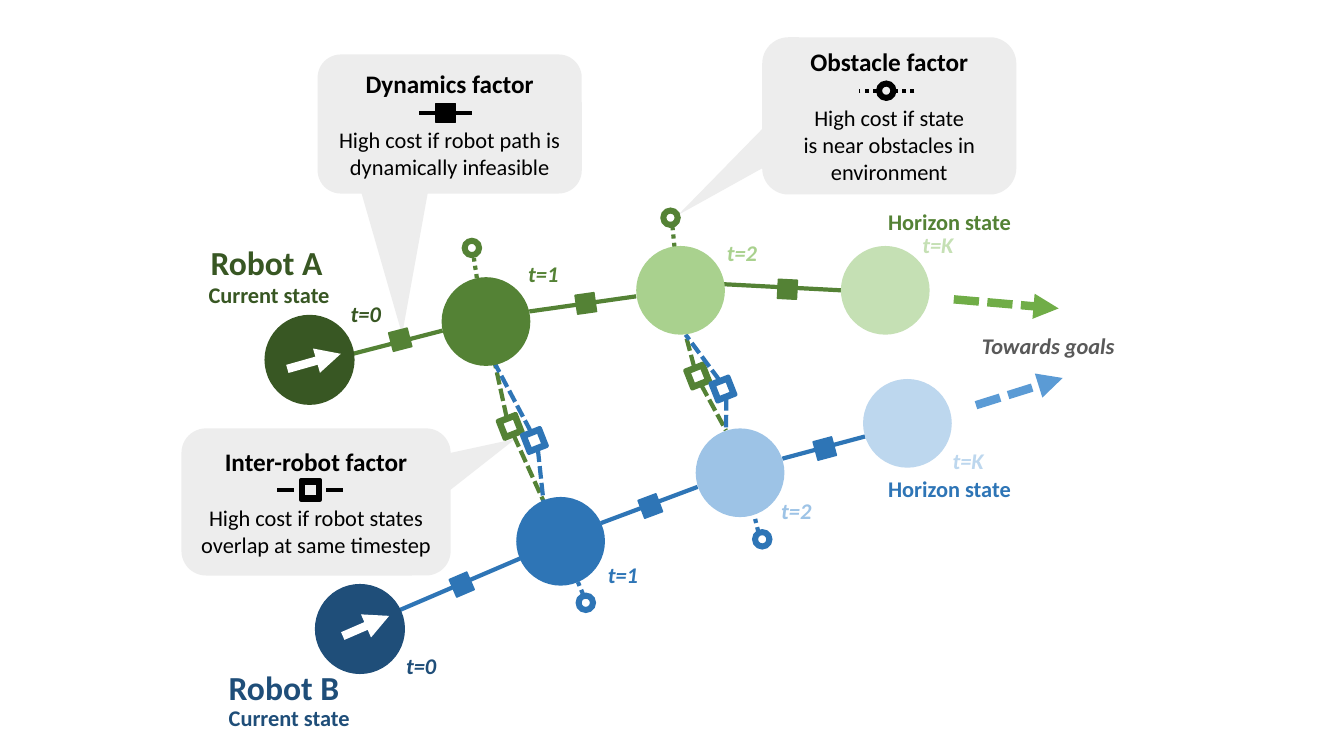
import math
from dataclasses import dataclass

import pptx
import pptx.dml.color
import pptx.enum.dml
import pptx.enum.shapes
import pptx.enum.text
import pptx.oxml.ns
import pptx.util
from lxml import etree

RGBColor = pptx.dml.color.RGBColor
Preset = pptx.enum.shapes.MSO_SHAPE
Dash = pptx.enum.dml.MSO_LINE
qn = pptx.oxml.ns.qn
Point = tuple[float, float]

BLACK = RGBColor(0x00, 0x00, 0x00)
WHITE = RGBColor(0xFF, 0xFF, 0xFF)
PALE_GREY = RGBColor(0xED, 0xED, 0xED)
DARK_GREY = RGBColor(0x59, 0x59, 0x59)
GREENS = [RGBColor.from_string(c) for c in ("385723", "548235", "A9D18E", "C5E0B4")]
BLUES = [RGBColor.from_string(c) for c in ("1F4E79", "2E75B6", "9DC3E6", "BDD7EE")]
GOAL_GREEN = RGBColor(0x70, 0xAD, 0x47)
GOAL_BLUE = RGBColor(0x5B, 0x9B, 0xD5)

FONT = "Calibri"
MARK = 0.19  # side of every factor symbol, in grid units
STATE = 0.88  # diameter of every robot state
TILT = -21.4  # rotation of the inter-robot symbols


def grid(units: float) -> pptx.util.Length:
    """Length of a number of grid units; one unit is 2.54 cm."""
    return pptx.util.Cm(units * 2.54)


@dataclass
class Callout:
    title: str
    cost: str
    box: tuple[float, float, float, float]
    tail: Point
    symbol: int
    center: Point
    arms: list[Point]  # start and end x of the left and right arm
    dash: int
    outline: float


@dataclass
class Robot:
    name: str
    colors: list[RGBColor]
    name_at: Point
    current_at: Point
    horizon_at: Point
    states: list[Point]
    times: list[Point]
    heading: tuple[Point, Point]
    goal: tuple[Point, Point]
    goal_color: RGBColor
    dynamics: list[tuple[Point, Point, Point]]  # from, to, symbol center
    obstacles: list[tuple[Point, Point, Point]]


CALLOUTS = [
    Callout("Dynamics factor", "High cost if robot path is dynamically infeasible",
            (3.15, 0.54, 2.62, 1.38), (-0.18, 1.513), Preset.RECTANGLE, (4.42, 1.12),
            [(4.16, 4.33), (4.68, 4.51)], Dash.SOLID, 1),
    Callout("Inter-robot factor", "High cost if robot states overlap at same timestep",
            (1.8, 4.25, 2.67, 1.46), (0.74, -0.428), Preset.FRAME, (3.08, 4.86),
            [(2.75, 2.98), (3.4, 3.17)], Dash.DASH, 3),
    Callout("Obstacle factor", "High cost if state\nis near obstacles in environment",
            (7.56, 0.37, 2.52, 1.56), (-0.831, 0.63), Preset.DONUT, (8.79, 0.9),
            [(8.7, 8.52), (9.07, 8.89)], Dash.ROUND_DOT, 1),
]
ROBOTS = [
    Robot("Robot A", GREENS, (1.99, 2.35), (1.97, 2.74), (8.71, 2.02),
          [(2.63, 3.13), (4.38, 2.75), (6.31, 2.44), (8.34, 2.44)],
          [(3.38, 2.93), (5.14, 2.53), (7.11, 2.32), (9.05, 2.24)],
          ((2.85, 3.66), (3.38, 3.51)), ((9.46, 2.97), (10.5, 3.06)), GOAL_GREEN,
          [((3.5, 3.51), (4.39, 3.28), (3.97, 3.37)),
           ((5.25, 3.09), (6.31, 2.94), (5.81, 3.01)),
           ((7.18, 2.82), (8.34, 2.88), (7.81, 2.87))],
          [((4.73, 2.76), (4.7, 2.56), (4.68, 2.46)),
           ((6.69, 2.45), (6.67, 2.25), (6.65, 2.16))]),
    Robot("Robot B", BLUES, (2.17, 6.57), (2.17, 6.94), (8.71, 4.66),
          [(3.13, 5.8), (5.12, 4.93), (6.9, 4.25), (8.56, 3.76)],
          [(3.93, 6.42), (5.93, 5.52), (7.65, 4.88), (9.35, 4.39)],
          ((3.4, 6.31), (3.86, 6.11)), ((9.68, 4.02), (10.54, 3.75)), GOAL_BLUE,
          [((3.97, 6.05), (5.16, 5.54), (4.58, 5.8)),
           ((5.96, 5.19), (6.92, 4.83), (6.45, 5.02)),
           ((7.76, 4.55), (8.58, 4.33), (8.18, 4.45))],
          [((5.78, 5.89), (5.73, 5.77), (5.81, 5.98)),
           ((7.52, 5.27), (7.48, 5.11), (7.56, 5.35))]),
]
# Upper end, lower end, and the centers of the green and the blue symbol
INTER_ROBOT = [
    ((4.91, 3.61), (5.39, 4.97), (5.06, 4.23), (5.3, 4.37)),
    ((6.8, 3.32), (7.2, 4.27), (6.92, 3.73), (7.17, 3.86)),
]


def add_line(shapes, start: Point, end: Point, color: RGBColor, width: float = 3,
             dash: int = Dash.SOLID, arrow: bool = False):
    line = shapes.add_connector(pptx.enum.shapes.MSO_CONNECTOR.STRAIGHT,
                                *map(grid, (*start, *end)))
    line.line.color.rgb = color
    line.line.width = pptx.util.Pt(width)
    line.line.dash_style = dash
    if arrow:
        etree.SubElement(line.line._get_or_add_ln(), qn("a:tailEnd"), type="triangle")
    etree.SubElement(line._element.spPr, qn("a:effectLst"))
    return line


def add_solid(shapes, preset: int, box: tuple, color: RGBColor, outline: float = 0):
    solid = shapes.add_shape(preset, *map(grid, box))
    solid.shadow.inherit = False
    solid.fill.solid()
    solid.fill.fore_color.rgb = color
    if outline:
        solid.line.color.rgb = color
        solid.line.width = pptx.util.Pt(outline)
    else:
        solid.line.fill.background()
    return solid


def add_symbol(shapes, preset: int, center: Point, color: RGBColor,
               outline: float = 1, rotation: float = 0):
    x, y = center
    symbol = add_solid(shapes, preset, (x - MARK / 2, y - MARK / 2, MARK, MARK), color, outline)
    symbol.rotation = rotation
    return symbol


def style(paragraph, size: float, color: RGBColor, bold: bool = True, italic: bool = False) -> None:
    for run in paragraph.runs:
        run.font.name = FONT
        run.font.size = pptx.util.Pt(size)
        run.font.bold = bold
        run.font.italic = italic
        run.font.color.rgb = color
    for line_break in paragraph._p.findall(qn("a:br")):
        etree.SubElement(line_break, qn("a:rPr"), sz=str(size * 100))


def add_label(shapes, text: str, at: Point, color: RGBColor, width: float,
              height: float = 0.37, size: float = 16, italic: bool = False) -> None:
    frame = shapes.add_textbox(*map(grid, (*at, width, height))).text_frame
    frame.text = text
    frame.word_wrap = False
    frame.auto_size = pptx.enum.text.MSO_AUTO_SIZE.SHAPE_TO_FIT_TEXT
    style(frame.paragraphs[0], size, color, italic=italic)


def add_callout(shapes, callout: Callout) -> None:
    bubble = add_solid(shapes, Preset.ROUNDED_RECTANGULAR_CALLOUT, callout.box, PALE_GREY)
    for index, value in enumerate((*callout.tail, 0.167)):
        bubble.adjustments[index] = value
    frame = bubble.text_frame
    frame.word_wrap = True
    frame.vertical_anchor = pptx.enum.text.MSO_ANCHOR.MIDDLE
    title, cost = frame.paragraphs[0], frame.add_paragraph()
    title.text, cost.text = callout.title, callout.cost
    cost.space_before = pptx.util.Pt(19.5)  # room for the symbol
    style(title, 18, BLACK)
    style(cost, 16, BLACK, bold=False)
    for paragraph in (title, cost):
        paragraph.alignment = pptx.enum.text.PP_ALIGN.CENTER

    symbol = add_symbol(shapes, callout.symbol, callout.center, BLACK, callout.outline)
    y = callout.center[1]
    for (start, end), side in zip(callout.arms, (1, 3)):
        arm = add_line(shapes, (start, y), (end, y), BLACK, dash=callout.dash)
        if callout.symbol != Preset.DONUT:
            arm.end_connect(symbol, side)


def add_inter_robot(shapes, upper: Point, lower: Point, center: Point, color: RGBColor) -> None:
    symbol = add_symbol(shapes, Preset.FRAME, center, color, 3, TILT)
    dx = MARK / 2 * math.sin(math.radians(TILT))
    dy = MARK / 2 * math.cos(math.radians(TILT))
    for start, sign, side in ((upper, 1, 0), (lower, -1, 2)):
        touch = (center[0] + sign * dx, center[1] - sign * dy)
        link = add_line(shapes, touch, start, color, dash=Dash.SQUARE_DOT)
        link.begin_connect(symbol, side)
        link.begin_x, link.begin_y = map(grid, touch)  # follow the tilted side


def add_robot(shapes, robot: Robot) -> None:
    dark, main = robot.colors[:2]
    # Factors
    for start, end, center in robot.dynamics:
        add_line(shapes, start, end, main)
        slope = math.degrees(math.atan2(end[1] - start[1], end[0] - start[0]))
        add_symbol(shapes, Preset.RECTANGLE, center, main, rotation=slope)
    for start, end, center in robot.obstacles:
        add_line(shapes, start, end, main, dash=Dash.ROUND_DOT)
        add_symbol(shapes, Preset.DONUT, center, main)
    # States and their times
    for step, state, time, color in zip("012K", robot.states, robot.times, robot.colors):
        add_solid(shapes, Preset.OVAL, (*state, STATE, STATE), color, 1 if step == "0" else 0)
        add_label(shapes, f"t={step}", time, color, 0.51, italic=True)
    # Arrows and names
    add_line(shapes, *robot.heading, WHITE, 6, arrow=True)
    add_line(shapes, *robot.goal, robot.goal_color, 6, Dash.SQUARE_DOT, arrow=True)
    add_label(shapes, robot.name, robot.name_at, dark, 1.97, 0.7, 24)
    add_label(shapes, "Current state", robot.current_at, dark, 1.95, 0.51)
    add_label(shapes, "Horizon state", robot.horizon_at, main, 1.43)


def main() -> None:
    deck = pptx.Presentation()
    deck.slide_width, deck.slide_height = grid(13.33), grid(7.5)
    shapes = deck.slides.add_slide(deck.slide_layouts[6]).shapes
    for callout in CALLOUTS:
        add_callout(shapes, callout)
    for upper, lower, green, blue in INTER_ROBOT:
        add_inter_robot(shapes, upper, lower, green, GREENS[1])
        add_inter_robot(shapes, upper, lower, blue, BLUES[1])
    for robot in ROBOTS:
        add_robot(shapes, robot)
    add_label(shapes, "Towards goals", (9.64, 3.25), DARK_GREY, 2.12, 0.51, italic=True)
    deck.save("out.pptx")


if __name__ == "__main__":
    main()
